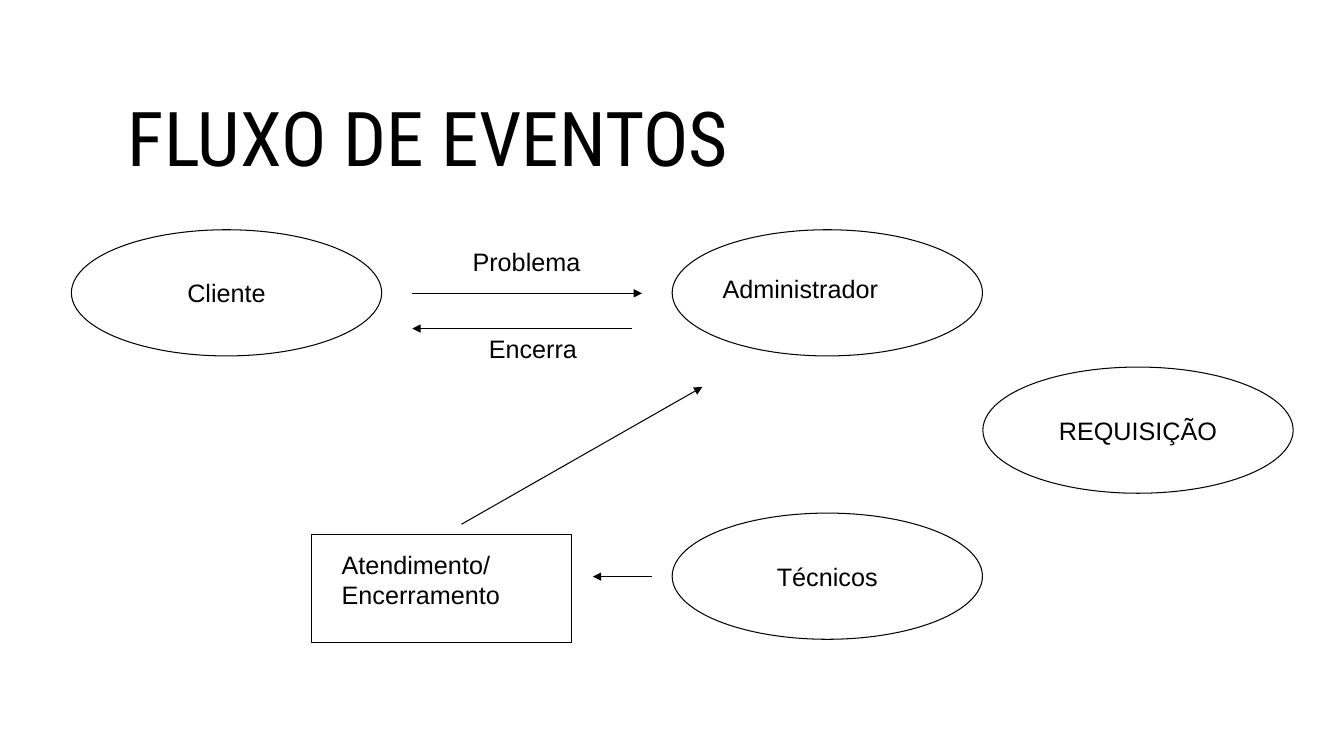
import pptx
import pptx.util
import pptx.dml.color
import pptx.enum.shapes
import pptx.enum.text
import lxml.etree

Cm = pptx.util.Cm
Pt = pptx.util.Pt
SHAPE = pptx.enum.shapes.MSO_SHAPE
ANCHOR = pptx.enum.text.MSO_ANCHOR
ALIGN = pptx.enum.text.PP_ALIGN
BLACK = pptx.dml.color.RGBColor(0, 0, 0)
WHITE = pptx.dml.color.RGBColor(255, 255, 255)
BODY = {"name": "Arial", "size": Pt(18)}
TITLE = {"name": "Roboto Condensed", "size": Pt(54)}
OVAL = (7.82, 3.18)
LEFT, MID, RIGHT = 1.8, 16.94, 24.77
TOP = 5.79


def write(frame, text, font, **form):
    """Fill a text frame and apply font and paragraph values."""
    para = frame.paragraphs[0]
    run = para.add_run()
    run.text = text
    run.font.color.rgb = BLACK
    for item, values in ((run.font, font), (para, form)):
        for key, value in values.items():
            setattr(item, key, value)


def node(slide, kind, x, y, size, text=""):
    """Draw an outlined shape with an optional centred name."""
    shape = slide.shapes.add_shape(kind, Cm(x), Cm(y), *map(Cm, size))
    shape.shadow.inherit = False
    shape.fill.solid()
    shape.fill.fore_color.rgb = WHITE
    shape.line.color.rgb = BLACK
    shape.line.width = Pt(0.75)
    if text:
        frame = shape.text_frame
        frame.word_wrap = False
        frame.vertical_anchor = ANCHOR.MIDDLE
        write(frame, text, BODY, alignment=ALIGN.CENTER)


def label(slide, text, x, y, w, h=2.21, font=BODY, anchor=ANCHOR.TOP, **form):
    """Add a wrapping text box."""
    frame = slide.shapes.add_textbox(Cm(x), Cm(y), Cm(w), Cm(h)).text_frame
    frame.word_wrap = True
    frame.vertical_anchor = anchor
    write(frame, text, font, **form)


def arrow(slide, *ends):
    """Draw a thin line with a triangle at its end."""
    kind = pptx.enum.shapes.MSO_CONNECTOR.STRAIGHT
    link = slide.shapes.add_connector(kind, *map(Cm, ends))
    link.line.color.rgb = BLACK
    link.line.width = Pt(0.75)
    tag = pptx.oxml.ns.qn
    head = lxml.etree.SubElement(link.line._get_or_add_ln(), tag("a:tailEnd"))
    head.set("type", "triangle")
    lxml.etree.SubElement(link._element.spPr, tag("a:effectLst"))


def main():
    """Build the event flow slide."""
    deck = pptx.Presentation()
    deck.slide_width, deck.slide_height = Cm(33.87), Cm(19.05)
    slide = deck.slides.add_slide(deck.slide_layouts[6])

    label(slide, "FLUXO DE EVENTOS", 2.97, 1.35, 27.94, 4.47, TITLE,
          ANCHOR.MIDDLE, line_spacing=0.9)

    node(slide, SHAPE.RECTANGLE, 7.85, 13.46, (6.55, 2.74))
    for text, x, y in (
        ("Cliente", LEFT, TOP),
        ("", MID, TOP),
        ("REQUISIÇÃO", RIGHT, 9.25),
        ("Técnicos", MID, 12.93),
    ):
        node(slide, SHAPE.OVAL, x, y, OVAL, text)

    for ends in (
        (10.39, 7.39, 16.18, 7.39),
        (15.93, 8.28, 10.39, 8.28),
        (11.63, 13.21, 17.7, 9.75),
        (16.43, 14.53, 14.94, 14.53),
    ):
        arrow(slide, *ends)

    for text, x, y, w in (
        ("Administrador", 17.96, 6.76, 6.05),
        ("Problema", 11.66, 6.07, 4.55),
        ("Encerra", 12.07, 8.28, 4.55),
        ("Atendimento/Encerramento", 8.36, 13.72, 5.82),
    ):
        label(slide, text, x, y, w)

    deck.save("out.pptx")


main()
